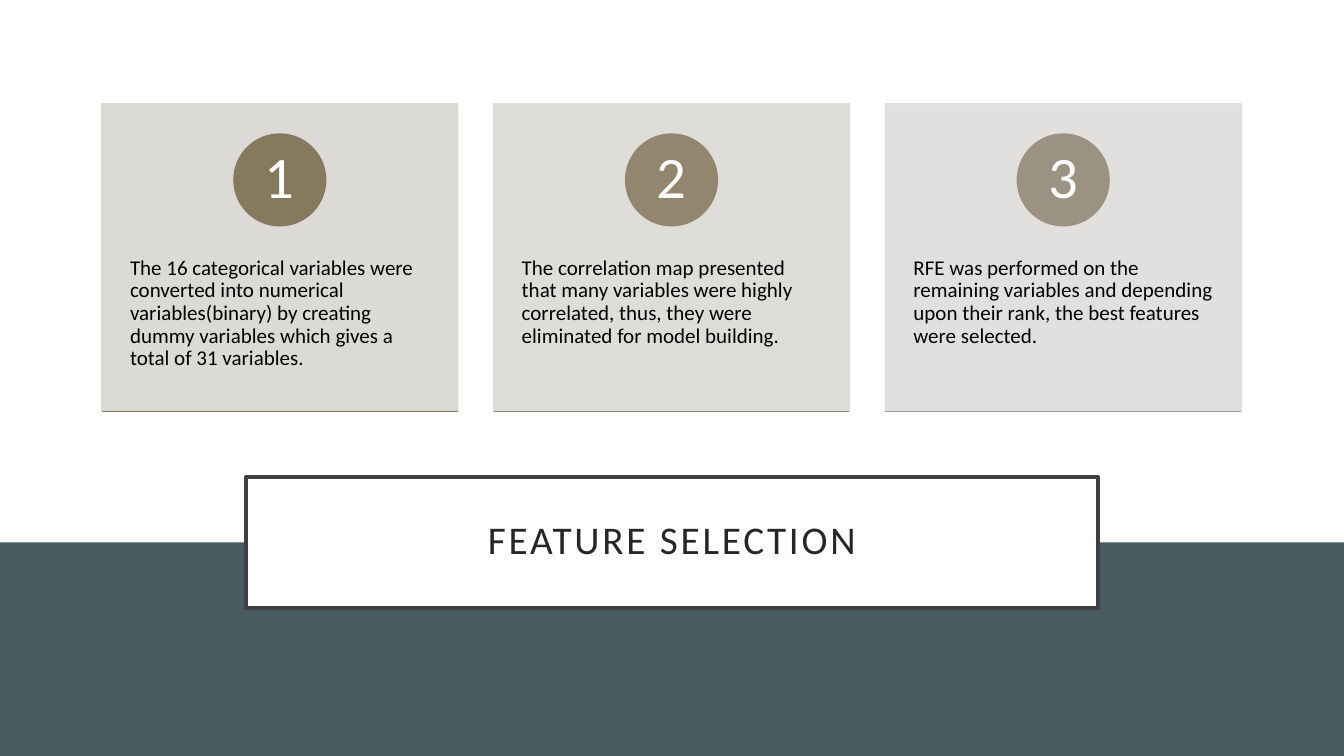
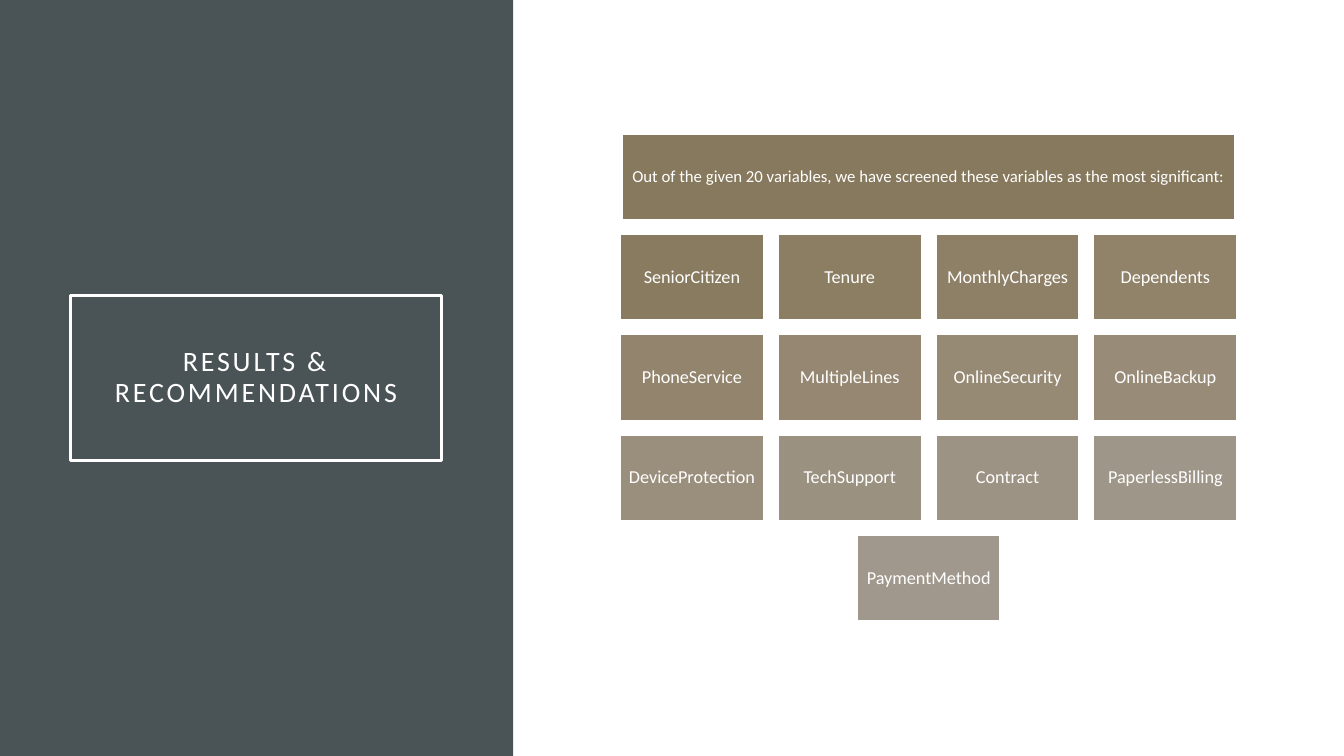
"""Build two slides: feature selection steps and the significant variables."""
import pptx
import pptx.dml.color
import pptx.enum.shapes
import pptx.enum.text
import pptx.oxml.ns
import pptx.util
from lxml import etree

RGBColor = pptx.dml.color.RGBColor
Inches, Pt = pptx.util.Inches, pptx.util.Pt
SHAPE = pptx.enum.shapes.MSO_SHAPE
ANCHOR = pptx.enum.text.MSO_ANCHOR
ALIGN = pptx.enum.text.PP_ALIGN
qn = pptx.oxml.ns.qn

FONT = "Calibri"
WIDTH, HEIGHT = 13.33, 7.5
WHITE = RGBColor(0xFF, 0xFF, 0xFF)
BLACK = RGBColor(0x00, 0x00, 0x00)
INK = RGBColor(0x26, 0x26, 0x26)
FRAME = RGBColor(0x40, 0x40, 0x40)
TEAL = RGBColor(0x47, 0x5B, 0x61)
SLATE = RGBColor(0x4A, 0x53, 0x56)
DARK = RGBColor(0x87, 0x79, 0x5D)
MIDDLE = RGBColor(0x93, 0x85, 0x6D)
PALE = RGBColor(0xA0, 0x98, 0x8C)
CARD_FILLS = [RGBColor(0xD9, 0xD7, 0xD2), RGBColor(0xDC, 0xDA, 0xD6), RGBColor(0xDF, 0xDD, 0xDB)]
CIRCLE_FILLS = [DARK, RGBColor(0x93, 0x86, 0x6E), RGBColor(0x9B, 0x92, 0x82)]
RULES = [RGBColor(0x8D, 0x7F, 0x65), RGBColor(0x97, 0x8C, 0x78), PALE]

STEPS = [
    "The 16 categorical variables were converted into numerical variables(binary) by creating "
    "dummy variables which gives a total of 31 variables.",
    "The correlation map presented that many variables were highly correlated, thus, they were "
    "eliminated for model building.",
    "RFE was performed on the remaining variables and depending upon their rank, the best "
    "features were selected.",
]
HEADING = "Out of the given 20 variables, we have screened these variables as the most significant:"
VARIABLES = [
    ["SeniorCitizen", "Tenure", "MonthlyCharges", "Dependents"],
    ["PhoneService", "MultipleLines", "OnlineSecurity", "OnlineBackup"],
    ["DeviceProtection", "TechSupport", "Contract", "PaperlessBilling"],
    ["PaymentMethod"],
]


def write(sp, text, size, color, align=ALIGN.CENTER, anchor=ANCHOR.MIDDLE, insets=(0.05,) * 4):
    tf = sp.text_frame
    tf.word_wrap = True
    tf.auto_size = pptx.enum.text.MSO_AUTO_SIZE.NONE
    tf.vertical_anchor = anchor
    tf.margin_left, tf.margin_top, tf.margin_right, tf.margin_bottom = map(Inches, insets)
    tf.text = text
    p = tf.paragraphs[0]
    p.alignment, p.line_spacing = align, 0.9
    p.font.name, p.font.size, p.font.color.rgb = FONT, Pt(size), color
    return p


def add_box(slide, box, fill, line=None, kind=SHAPE.RECTANGLE):
    sp = slide.shapes.add_shape(kind, *map(Inches, box))
    sp.shadow.inherit = False
    sp.fill.solid()
    sp.fill.fore_color.rgb = fill
    if line is None:
        sp.line.fill.background()
    else:
        sp.line.color.rgb, sp.line.width = line, Pt(1)
    return sp


def add_rule(slide, left, top, width, color):
    line = slide.shapes.add_connector(
        pptx.enum.shapes.MSO_CONNECTOR.STRAIGHT, *map(Inches, (left, top, left + width, top)))
    line.line.color.rgb, line.line.width = color, Pt(1)
    etree.SubElement(line.element.spPr, qn("a:effectLst"))


def add_titled_slide(prs, text, box, size, color, frame, fill, band, band_fill):
    slide = prs.slides.add_slide(prs.slide_layouts[5])
    title = slide.shapes.title
    title.element.addprevious(add_box(slide, band, band_fill).element)
    title.left, title.top, title.width, title.height = map(Inches, box)
    title.line.color.rgb, title.line.width = frame, Pt(2.5)
    if fill is not None:
        title.fill.solid()
        title.fill.fore_color.rgb = fill
    p = write(title, text, size, color, insets=(0.2,) * 4)
    p.runs[0].font.element.set("spc", "200") if hasattr(p.runs[0].font, "element") else \
        p.runs[0]._r.get_or_add_rPr().set("spc", "200")
    return slide


def shade(index):
    start, end, share = (DARK, MIDDLE, index / 5) if index < 5 else (MIDDLE, PALE, (index - 5) / 8)
    return RGBColor(*(round(a + (b - a) * share) for a, b in zip(start, end)))


def build_selection(prs):
    band_top = 5.38
    slide = add_titled_slide(
        prs, "FEATURE SELECTION", (2.44, 4.73, 8.45, 1.3), 28, INK, FRAME, WHITE,
        (0, band_top, WIDTH, HEIGHT - band_top), TEAL)
    left, top, width, height, pitch, circle = 1.01, 1.03, 3.53, 3.05, 3.885, 0.91
    for i, (text, fill, accent, rule) in enumerate(zip(STEPS, CARD_FILLS, CIRCLE_FILLS, RULES)):
        x = left + i * pitch
        card = add_box(slide, (x, top, width, height), fill, fill)
        for color in card.element.spPr.iter(qn("a:srgbClr")):
            etree.SubElement(color, qn("a:alpha"), val="90000")
        write(card, text, 15, BLACK, ALIGN.LEFT, ANCHOR.TOP, (0.28, 1.52, 0.28, 0.36))
        badge = add_box(slide, (x + (width - circle) / 2, top + 0.3, circle, circle),
                        accent, accent, SHAPE.OVAL)
        write(badge, str(i + 1), 42, WHITE, insets=(0,) * 4)
        add_rule(slide, x, top + height, width, rule)


def build_results(prs):
    slide = add_titled_slide(
        prs, "RESULTS & RECOMMENDATIONS", (0.7, 2.93, 3.68, 1.64), 20, WHITE, WHITE, None,
        (0, 0, 5.09, HEIGHT), SLATE)
    center, top, width, height, pitch_x, pitch_y = 9.21, 1.33, 1.42, 0.85, 1.565, 0.995
    heading_width = 6.07
    heading = add_box(slide, (center - heading_width / 2, top, heading_width, height), DARK, WHITE)
    write(heading, HEADING, 12, WHITE)
    index = 0
    for row, names in enumerate(VARIABLES, 1):
        left = center - ((len(names) - 1) * pitch_x + width) / 2
        for column, name in enumerate(names):
            index += 1
            tile = add_box(slide, (left + column * pitch_x, top + row * pitch_y, width, height),
                           shade(index), WHITE)
            write(tile, name, 13, WHITE)


def main():
    prs = pptx.Presentation()
    prs.slide_width, prs.slide_height = Inches(WIDTH), Inches(HEIGHT)
    build_selection(prs)
    build_results(prs)
    prs.save("out.pptx")


if __name__ == "__main__":
    main()
